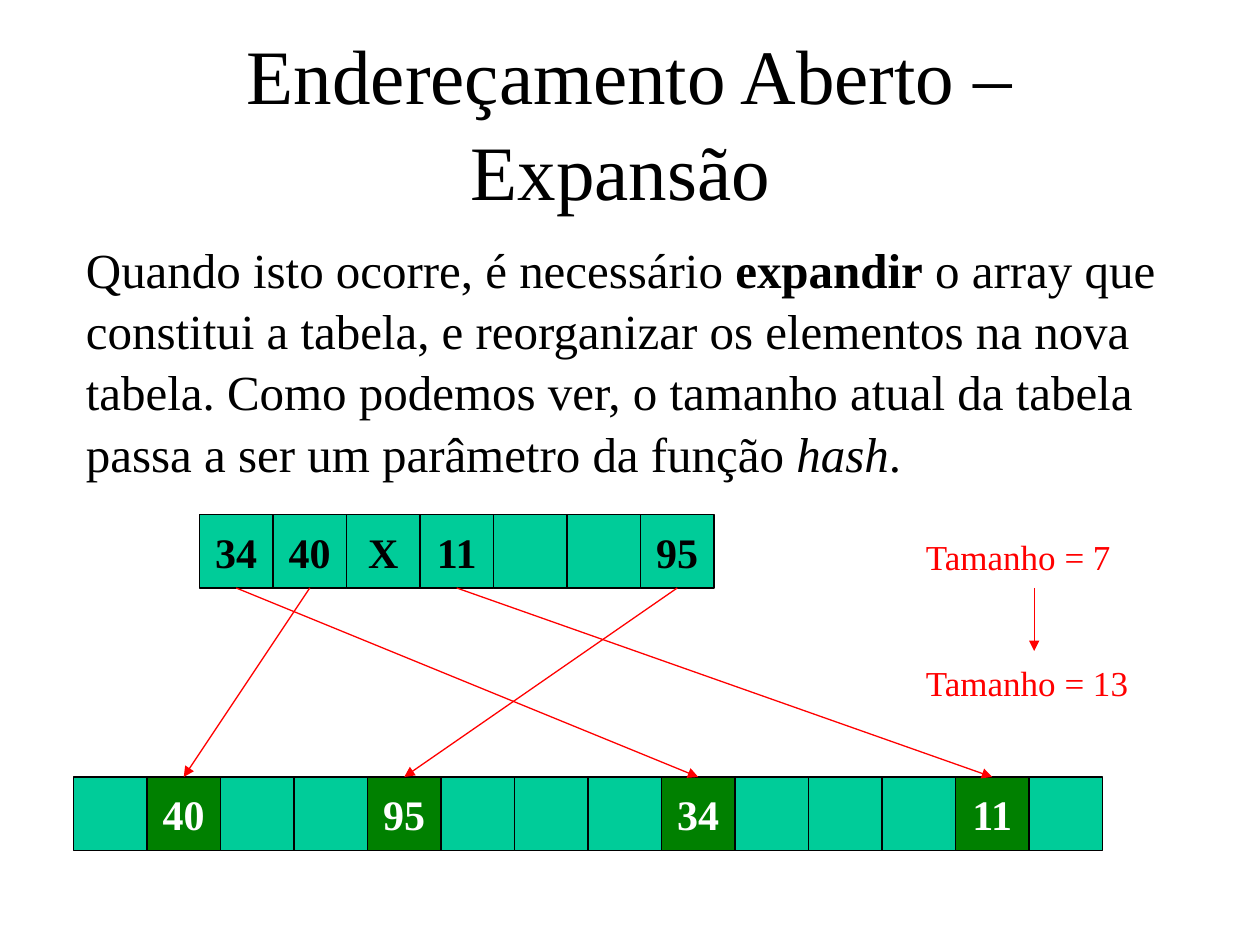
"""Builds a slide on expanding an open-addressing hash table."""
import lxml.etree
import pptx
import pptx.dml.color
import pptx.enum.shapes
import pptx.enum.text
import pptx.oxml.ns
import pptx.util

EMU_PER_PX = 9525
CELL = 56
OLD_TABLE = ["34", "40", "X", "11", "", "", "95"]
NEW_TABLE = ["", "40", "", "", "95", "", "", "", "34", "", "", "", "11", ""]
BODY = [
    ("Quando isto ocorre, é necessário ", {}),
    ("expandir", {"bold": True}),
    (" o array que constitui a tabela, e reorganizar os elementos na nova tabela. "
     "Como podemos ver, o tamanho atual da tabela passa a ser um parâmetro da função ", {}),
    ("hash", {"italic": True}),
    (".", {}),
]
ALIGN = pptx.enum.text.PP_ALIGN
ANCHOR = pptx.enum.text.MSO_ANCHOR


def px(value):
    """Turn whole pixels into EMU."""
    return pptx.util.Emu(value * EMU_PER_PX)


def color(value):
    """Turn a hex string into a colour."""
    return pptx.dml.color.RGBColor.from_string(value)


def write_text(paragraph, text, size=24, fill="000000", bold=False, italic=False):
    """Append a formatted run to a paragraph."""
    run = paragraph.add_run()
    run.text = text
    font = run.font
    font.name = "Times New Roman"
    font.size = pptx.util.Pt(size)
    font.bold = bold
    font.italic = italic
    font.color.rgb = color(fill)


def set_title(slide, text):
    """Place and fill the title placeholder."""
    title = slide.shapes.title
    title.left, title.top, title.width, title.height = px(72), px(32), px(816), px(119)
    frame = title.text_frame
    frame.auto_size = pptx.enum.text.MSO_AUTO_SIZE.NONE
    frame.vertical_anchor = ANCHOR.MIDDLE
    paragraph = frame.paragraphs[0]
    paragraph.alignment = ALIGN.CENTER
    paragraph.line_spacing = 1.04
    write_text(paragraph, text, size=44)


def add_body(slide):
    """Add the explanatory paragraph."""
    box = slide.shapes.add_textbox(px(56), px(176), px(848), px(189))
    box.text_frame.word_wrap = True
    paragraph = box.text_frame.paragraphs[0]
    paragraph.line_spacing = 1.04
    for text, style in BODY:
        write_text(paragraph, text, size=28, **style)


def add_label(slide, top, text):
    """Add a red table-size label."""
    box = slide.shapes.add_textbox(px(696), px(top), px(184), px(48))
    box.text_frame.word_wrap = False
    box.text_frame.vertical_anchor = ANCHOR.MIDDLE
    write_text(box.text_frame.paragraphs[0], text, size=20, fill="FF0000")
    return box


def add_cell(slide, left, top, text, fill, text_fill):
    """Add one square cell of a hash table."""
    cell = slide.shapes.add_shape(
        pptx.enum.shapes.MSO_SHAPE.RECTANGLE, px(left), px(top), px(CELL), px(CELL))
    cell.shadow.inherit = False
    cell.fill.solid()
    cell.fill.fore_color.rgb = color(fill)
    cell.line.color.rgb = color("000000")
    cell.line.width = pptx.util.Pt(0.75)
    if text:
        frame = cell.text_frame
        frame.word_wrap = False
        frame.vertical_anchor = ANCHOR.MIDDLE
        frame.paragraphs[0].alignment = ALIGN.CENTER
        write_text(frame.paragraphs[0], text, fill=text_fill, bold=True)
    return cell


def add_table_row(slide, left, top, values, used_fill, text_fill):
    """Add a row of cells and return the filled ones by value."""
    used = {}
    for index, value in enumerate(values):
        fill = used_fill if value else "00CC99"
        cell = add_cell(slide, left + index * CELL, top, value, fill, text_fill)
        if value:
            used[value] = cell
    return used


def add_arrow(slide, source, target):
    """Join the bottom of one shape to the top of another with a red arrow."""
    arrow = slide.shapes.add_connector(
        pptx.enum.shapes.MSO_CONNECTOR.STRAIGHT, 0, 0, 0, 0)
    arrow.begin_connect(source, 2)
    arrow.end_connect(target, 0)
    arrow.line.color.rgb = color("FF0000")
    arrow.line.width = pptx.util.Pt(0.75)
    qn = pptx.oxml.ns.qn
    lxml.etree.SubElement(arrow.line._get_or_add_ln(), qn("a:tailEnd"), type="triangle")
    lxml.etree.SubElement(arrow._element.spPr, qn("a:effectLst"))


def main():
    """Build and save the slide."""
    presentation = pptx.Presentation()
    presentation.slide_width, presentation.slide_height = px(960), px(720)
    slide = presentation.slides.add_slide(presentation.slide_layouts[5])
    set_title(slide, "Endereçamento Aberto – Expansão ")
    add_body(slide)
    old_cells = add_table_row(slide, 152, 392, OLD_TABLE, "00CC99", "000000")
    new_cells = add_table_row(slide, 56, 592, NEW_TABLE, "008000", "FFFFFF")
    for value, target in new_cells.items():
        add_arrow(slide, old_cells[value], target)
    old_size = add_label(slide, 400, "Tamanho = 7")
    new_size = add_label(slide, 496, "Tamanho = 13")
    add_arrow(slide, old_size, new_size)
    presentation.save("out.pptx")


if __name__ == "__main__":
    main()
